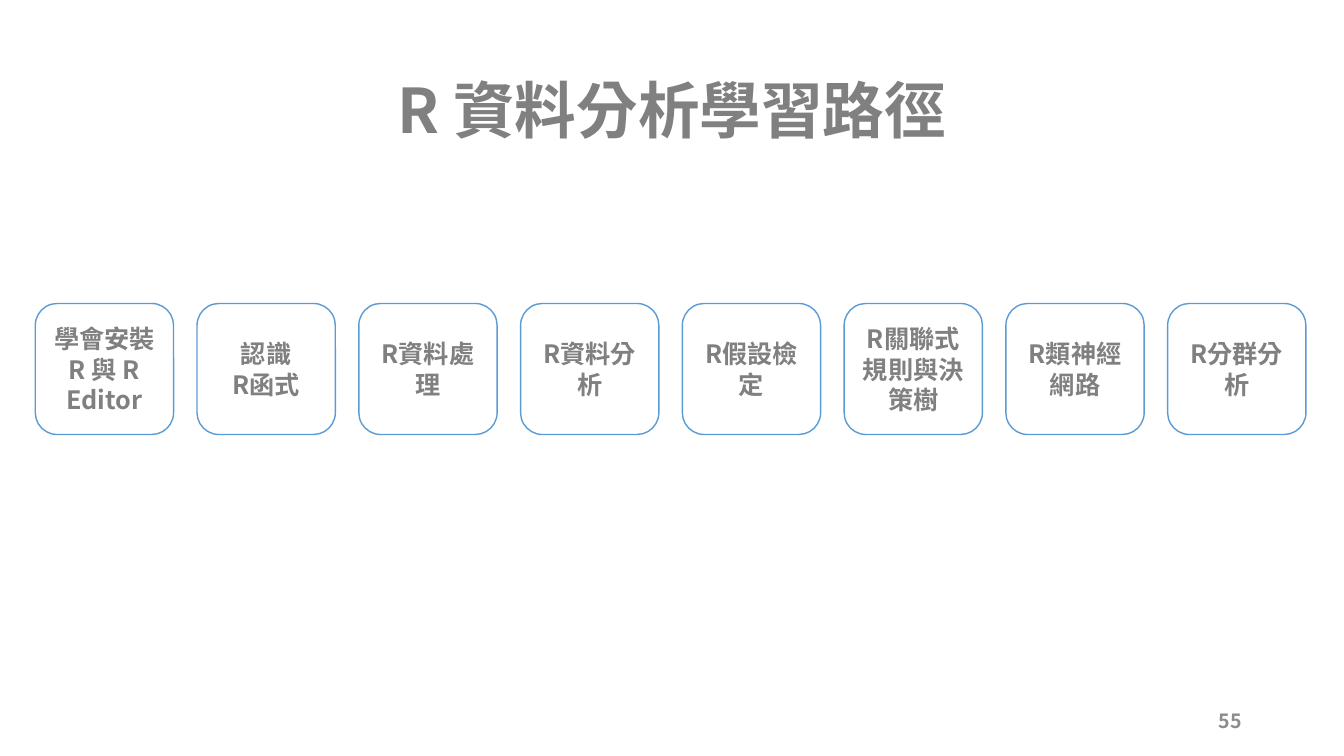
from lxml import etree
from pptx import Presentation
from pptx.dml.color import RGBColor
from pptx.enum import shapes, text
from pptx.oxml import ns
from pptx.util import Pt

# Content
TITLE = "R 資料分析學習路徑"
STEPS = [
    "學會安裝 R 與 R Editor",
    "認識\nR函式",
    "R資料處理",
    "R資料分析",
    "R假設檢定",
    "R關聯式規則與決策樹",
    "R類神經網路",
    "R分群分析",
]
PAGE_NUMBER = "55"

# Format
FONT = "Noto Sans CJK SC"
GREY = RGBColor(0x80, 0x80, 0x80)
LIGHT_GREY = RGBColor(0x8C, 0x8C, 0x8C)
BLUE = RGBColor(0x5B, 0x9B, 0xD5)
WHITE = RGBColor(0xFF, 0xFF, 0xFF)

# Layout in points
SLIDE_WIDTH, SLIDE_HEIGHT = 960, 540
STEP_LEFT, STEP_TOP = 25.2, 216.8
STEP_WIDTH, STEP_HEIGHT = 98.8, 93.6
STEP_PITCH = 115.55


def write(holder, words, size, color=GREY, align=text.PP_ALIGN.CENTER, spacing=None):
    frame = holder.text_frame
    frame.word_wrap = True
    frame.vertical_anchor = text.MSO_ANCHOR.MIDDLE
    frame.text = words
    for paragraph in frame.paragraphs:
        paragraph.alignment = align
        if spacing:
            paragraph.line_spacing = spacing
        for run in paragraph.runs:
            run.font.name = FONT
            run.font.size = Pt(size)
            run.font.bold = True
            run.font.color.rgb = color
            # East Asian letters take their own font setting
            properties = run._r.get_or_add_rPr()
            properties.set("lang", "zh-TW")
            etree.SubElement(properties, ns.qn("a:ea"), typeface=FONT)


deck = Presentation()
deck.slide_width, deck.slide_height = Pt(SLIDE_WIDTH), Pt(SLIDE_HEIGHT)
slide = deck.slides.add_slide(deck.slide_layouts[6])

# Title
title = slide.shapes.add_textbox(Pt(66), Pt(28.8), Pt(828), Pt(104.4))
write(title, TITLE, size=44, spacing=0.9)

# Learning steps in one row
for index, words in enumerate(STEPS):
    step = slide.shapes.add_shape(
        shapes.MSO_SHAPE.ROUNDED_RECTANGLE,
        Pt(STEP_LEFT + index * STEP_PITCH), Pt(STEP_TOP),
        Pt(STEP_WIDTH), Pt(STEP_HEIGHT))
    step.shadow.inherit = False
    step.fill.solid()
    step.fill.fore_color.rgb = WHITE
    step.line.color.rgb = BLUE
    step.line.width = Pt(1)
    write(step, words, size=18)

# Page number
page_number = slide.shapes.add_textbox(Pt(678), Pt(500.5), Pt(216), Pt(28.8))
write(page_number, PAGE_NUMBER, size=14, color=LIGHT_GREY, align=text.PP_ALIGN.RIGHT)

deck.save("out.pptx")
